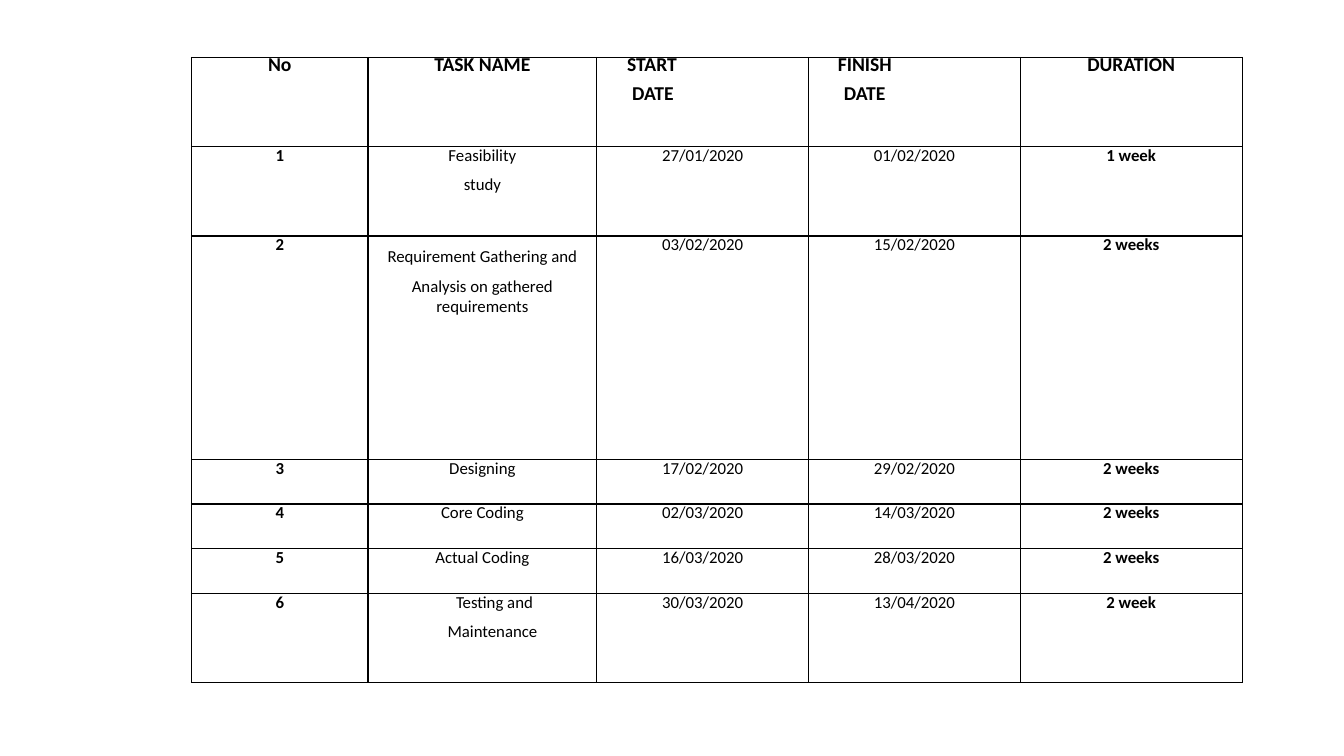
"""Build a slide with the project schedule table."""
import pptx
import pptx.dml.color
import pptx.enum.text
import pptx.oxml
import pptx.oxml.ns
import pptx.util

HEADINGS = ["No", "TASK NAME", "START\nDATE", "FINISH\nDATE", "DURATION"]
TASKS = [
    ("1", "Feasibility\nstudy", "27/01/2020", "01/02/2020", "1 week"),
    ("2", "Requirement Gathering and Analysis on gathered\nrequirements",
     "03/02/2020", "15/02/2020", "2 weeks"),
    ("3", "Designing", "17/02/2020", "29/02/2020", "2 weeks"),
    ("4", "Core Coding", "02/03/2020", "14/03/2020", "2 weeks"),
    ("5", "Actual Coding", "16/03/2020", "28/03/2020", "2 weeks"),
    ("6", "Testing and\nMaintenance", "30/03/2020", "13/04/2020", "2 week"),
]
COLORS = {"paper": "FFFFFF", "ink": "000000"}
COLUMN_WIDTHS = [1.75, 2.27, 2.1, 2.1, 2.2]
ROW_UNITS = [2, 2, 5, 1, 1, 1, 2]
ROW_UNIT = 0.443
LEFT, TOP = 1.9, 0.57
LINE_HEIGHT, LINE_GAP = 13.8, 7
INDENTS = {(0, 2): (0.3, 0.35), (0, 3): (0.29, 0.35), (6, 1): (0.24, 0.2)}
LOOSE_CELL = (2, 1)
BOLD_COLUMNS = (0, 4)
MARGINS = dict.fromkeys(
    ("margin_left", "margin_top", "margin_right", "margin_bottom"), 0)


def rgb(name):
    return pptx.dml.color.RGBColor.from_string(COLORS[name])


def add_borders(cell):
    properties = cell._tc.get_or_add_tcPr()
    for position, side in enumerate(("lnL", "lnR", "lnT", "lnB")):
        properties.insert(position, pptx.oxml.parse_xml(
            f'<a:{side} {pptx.oxml.ns.nsdecls("a")} w="12700"><a:solidFill>'
            f'<a:srgbClr val="{COLORS["ink"]}"/></a:solidFill></a:{side}>'))


def write_cell(cell, row, column, wording):
    for margin, value in MARGINS.items():
        setattr(cell, margin, value)
    cell.fill.solid()
    cell.fill.fore_color.rgb = rgb("paper")
    add_borders(cell)
    cell.text = wording
    align = pptx.enum.text.PP_ALIGN
    loose = (row, column) == LOOSE_CELL
    indents = INDENTS.get((row, column), (0, 0))
    font_format = {"name": "Calibri", "size": pptx.util.Pt(12 if row else 14),
                   "bold": row == 0 or column in BOLD_COLUMNS}
    for line, paragraph in enumerate(cell.text_frame.paragraphs):
        left_aligned = row == 0 and (row, column) in INDENTS
        paragraph.alignment = align.LEFT if left_aligned else align.CENTER
        paragraph.line_spacing = (
            1.5 if loose and line == 0 else pptx.util.Pt(LINE_HEIGHT))
        if line and not loose:
            paragraph.space_before = pptx.util.Pt(LINE_GAP)
        if indents[line]:
            paragraph._p.get_or_add_pPr().set(
                "marL", str(pptx.util.Inches(indents[line])))
        for run in paragraph.runs:
            for key, value in font_format.items():
                setattr(run.font, key, value)
            run.font.color.rgb = rgb("ink")


def main():
    deck = pptx.Presentation()
    deck.slide_width = pptx.util.Inches(13.33)
    deck.slide_height = pptx.util.Inches(7.5)
    slide = deck.slides.add_slide(deck.slide_layouts[6])
    frame = (LEFT, TOP, sum(COLUMN_WIDTHS), sum(ROW_UNITS) * ROW_UNIT)
    schedule = slide.shapes.add_table(
        len(ROW_UNITS), len(COLUMN_WIDTHS), *map(pptx.util.Inches, frame)).table
    for flag in ("first_row", "horz_banding"):
        setattr(schedule, flag, False)
    for column, width in zip(schedule.columns, COLUMN_WIDTHS):
        column.width = pptx.util.Inches(width)
    for row, units in zip(schedule.rows, ROW_UNITS):
        row.height = pptx.util.Inches(units * ROW_UNIT)
    for row, record in enumerate([HEADINGS, *TASKS]):
        for column, wording in enumerate(record):
            write_cell(schedule.cell(row, column), row, column, wording)
    deck.save("out.pptx")


if __name__ == "__main__":
    main()
